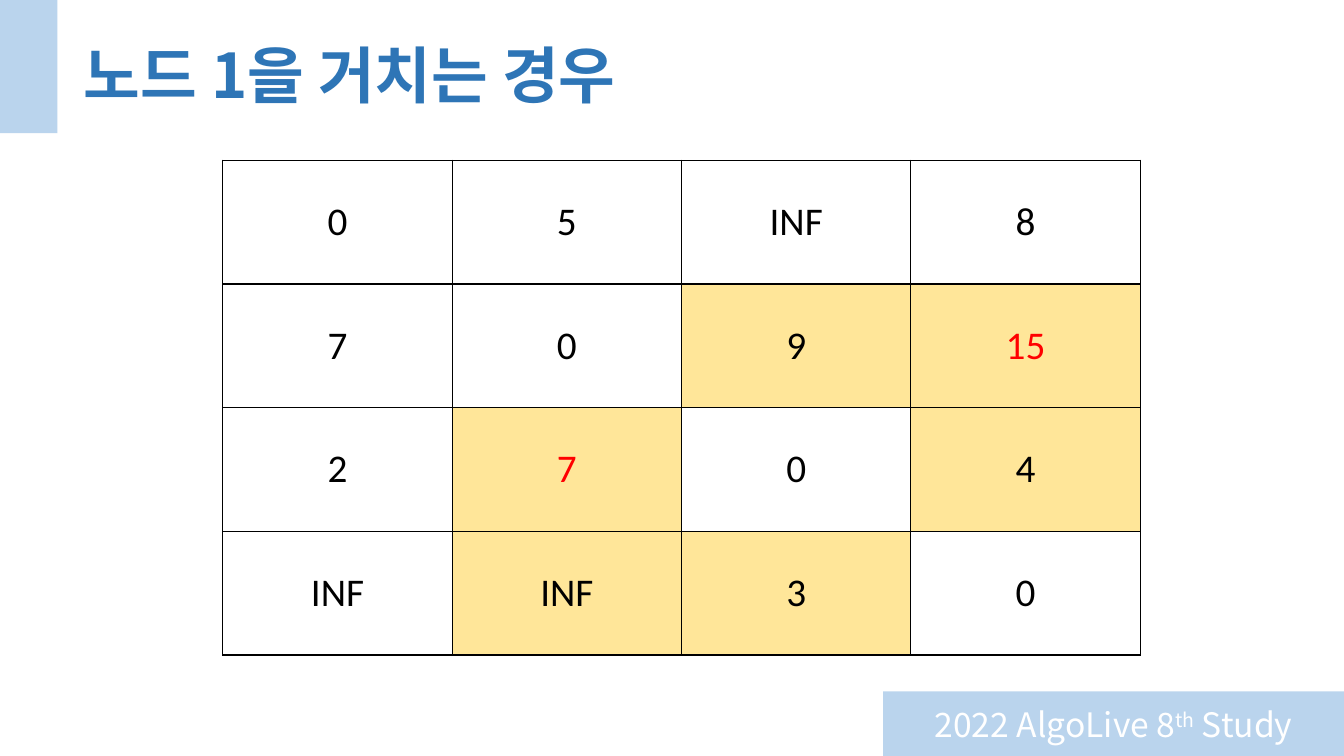
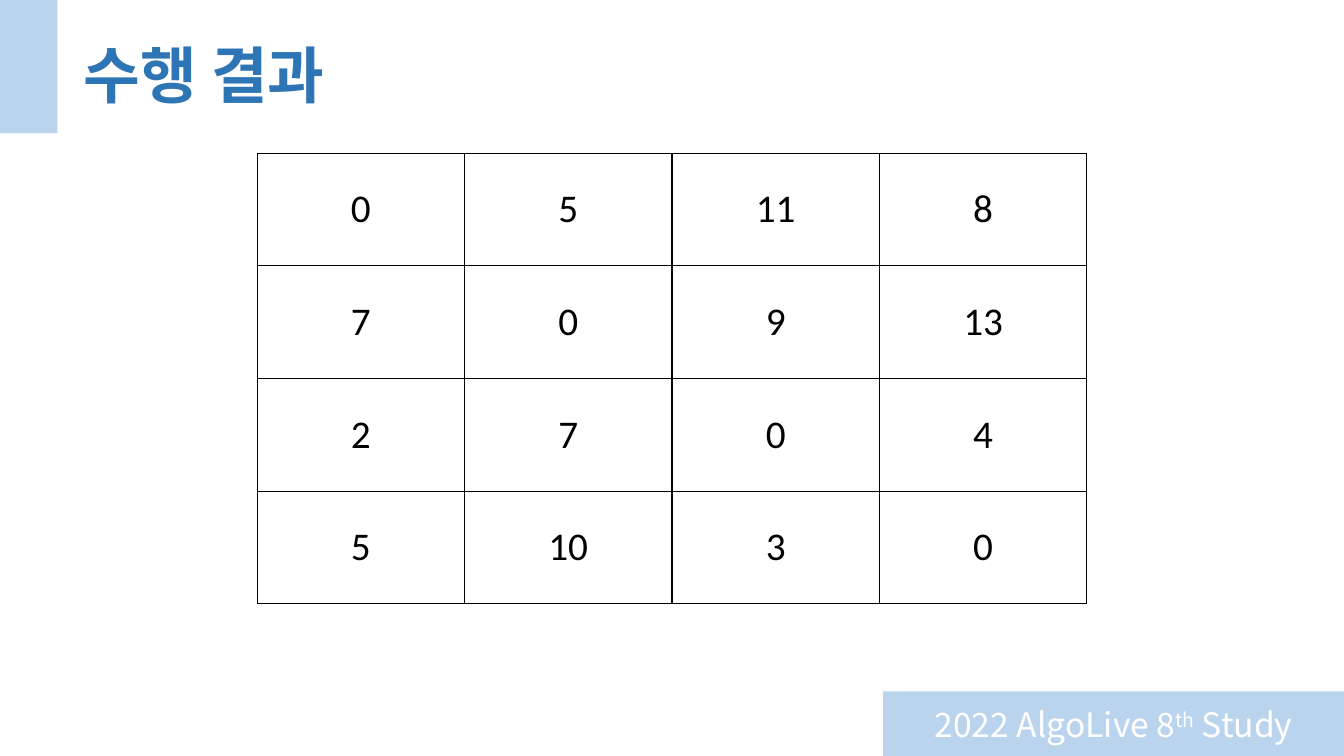
from lxml import etree
from pptx import Presentation
from pptx import util as u
from pptx.dml.color import RGBColor
from pptx.enum import shapes, text
from pptx.oxml import ns

WIDTH, HEIGHT = 13.33, 7.5
TITLE_ONLY = 5

WHITE = RGBColor(0xFF, 0xFF, 0xFF)
BLACK = RGBColor(0x00, 0x00, 0x00)
RED = RGBColor(0xFF, 0x00, 0x00)
BLUE = RGBColor(0x2E, 0x75, 0xB6)
PALE_BLUE = RGBColor(0x9D, 0xC3, 0xE6)
YELLOW = RGBColor(0xFF, 0xE6, 0x99)

KOREAN = "Noto Sans CJK KR"
TITLE_FONT = {"name": KOREAN, "size": u.Pt(44), "bold": True}
FOOTER_FONT = {"name": KOREAN, "size": u.Pt(24)}
CELL_FONT = {"name": "Calibri", "size": u.Pt(28)}

TITLE_BOX = (0.73, 0.05, 11.5, 1.45)
CORNER_BOX = (0, 0, 0.57, 1.32)
FOOTER_BOX = (8.76, 6.86, WIDTH - 8.76, HEIGHT - 6.86)
FOOTER_PARTS = [("2022 AlgoLive 8", 0), ("th", 30000), (" Study", 0)]

# Each matrix: title, box, rows, highlighted cells, changed cells
MATRICES = [
    ("노드 1을 거치는 경우", (2.21, 1.59, 9.1, 4.91),
     ["0 5 INF 8", "7 0 9 15", "2 7 0 4", "INF INF 3 0"],
     {(1, 2), (1, 3), (2, 1), (2, 3), (3, 1), (3, 2)}, {(1, 3), (2, 1)}),
    ("수행 결과", (2.55, 1.52, 8.23, 4.47),
     ["0 5 11 8", "7 0 9 13", "2 7 0 4", "5 10 3 0"], set(), set()),
]


def inches(box):
    return [u.Inches(length) for length in box]


def format_span(span, style, color):
    for name, value in style.items():
        setattr(span.font, name, value)
    span.font.color.rgb = color
    east_asian = etree.SubElement(span._r.get_or_add_rPr(), ns.qn("a:ea"))
    east_asian.set("typeface", style["name"])


def add_band(page, box):
    band = page.shapes.add_shape(shapes.MSO_SHAPE.RECTANGLE, *inches(box))
    band.shadow.inherit = False
    band.fill.solid()
    band.fill.fore_color.rgb = PALE_BLUE
    color = band.element.find(".//" + ns.qn("a:srgbClr"))
    etree.SubElement(color, ns.qn("a:alpha")).set("val", "70000")
    band.line.fill.background()
    return band


def add_footer(page, box):
    footer = add_band(page, box)
    footer.text_frame.vertical_anchor = text.MSO_ANCHOR.MIDDLE
    para = footer.text_frame.paragraphs[0]
    para.alignment = text.PP_ALIGN.CENTER
    for words, baseline in FOOTER_PARTS:
        span = para.add_run()
        span.text = words
        format_span(span, FOOTER_FONT, WHITE)
        if baseline:
            span._r.get_or_add_rPr().set("baseline", str(baseline))
    return footer


def share_bands(page):
    """Draw the bands and hand them to the layout, so every slide shows them."""
    bands = [add_band(page, CORNER_BOX), add_footer(page, FOOTER_BOX)]
    tree = page.slide_layout.shapes.element
    for position, band in enumerate(bands, start=2):
        tree.insert(position, band.element)


def set_title(page, words):
    title = page.shapes.title
    title.left, title.top, title.width, title.height = inches(TITLE_BOX)
    frame = title.text_frame
    frame.auto_size = text.MSO_AUTO_SIZE.NONE
    frame.vertical_anchor = text.MSO_ANCHOR.MIDDLE
    para = frame.paragraphs[0]
    para.alignment = text.PP_ALIGN.LEFT
    para.line_spacing = 0.9
    span = para.add_run()
    span.text = words
    format_span(span, TITLE_FONT, BLUE)


def add_borders(cell):
    properties = cell._tc.get_or_add_tcPr()
    for side in ("lnL", "lnR", "lnT", "lnB"):
        line = etree.SubElement(properties, ns.qn("a:" + side), w=str(u.Pt(1)))
        fill = etree.SubElement(line, ns.qn("a:solidFill"))
        etree.SubElement(fill, ns.qn("a:srgbClr"), val=str(BLACK))


def fill_cell(cell, value, background, color):
    add_borders(cell)
    cell.fill.solid()
    cell.fill.fore_color.rgb = background
    cell.vertical_anchor = text.MSO_ANCHOR.MIDDLE
    para = cell.text_frame.paragraphs[0]
    para.alignment = text.PP_ALIGN.CENTER
    span = para.add_run()
    span.text = value
    format_span(span, CELL_FONT, color)


def add_matrix(page, box, rows, highlighted, changed):
    values = [row.split() for row in rows]
    table = page.shapes.add_table(len(values), len(values[0]), *inches(box)).table
    table.first_row = table.horz_banding = False
    for r, row in enumerate(values):
        for c, value in enumerate(row):
            fill_cell(table.cell(r, c), value,
                      YELLOW if (r, c) in highlighted else WHITE,
                      RED if (r, c) in changed else BLACK)


def main():
    deck = Presentation()
    deck.slide_width, deck.slide_height = inches((WIDTH, HEIGHT))
    layout = deck.slide_layouts[TITLE_ONLY]
    for title, *matrix in MATRICES:
        page = deck.slides.add_slide(layout)
        set_title(page, title)
        add_matrix(page, *matrix)
    share_bands(deck.slides[0])
    deck.save("out.pptx")


if __name__ == "__main__":
    main()
